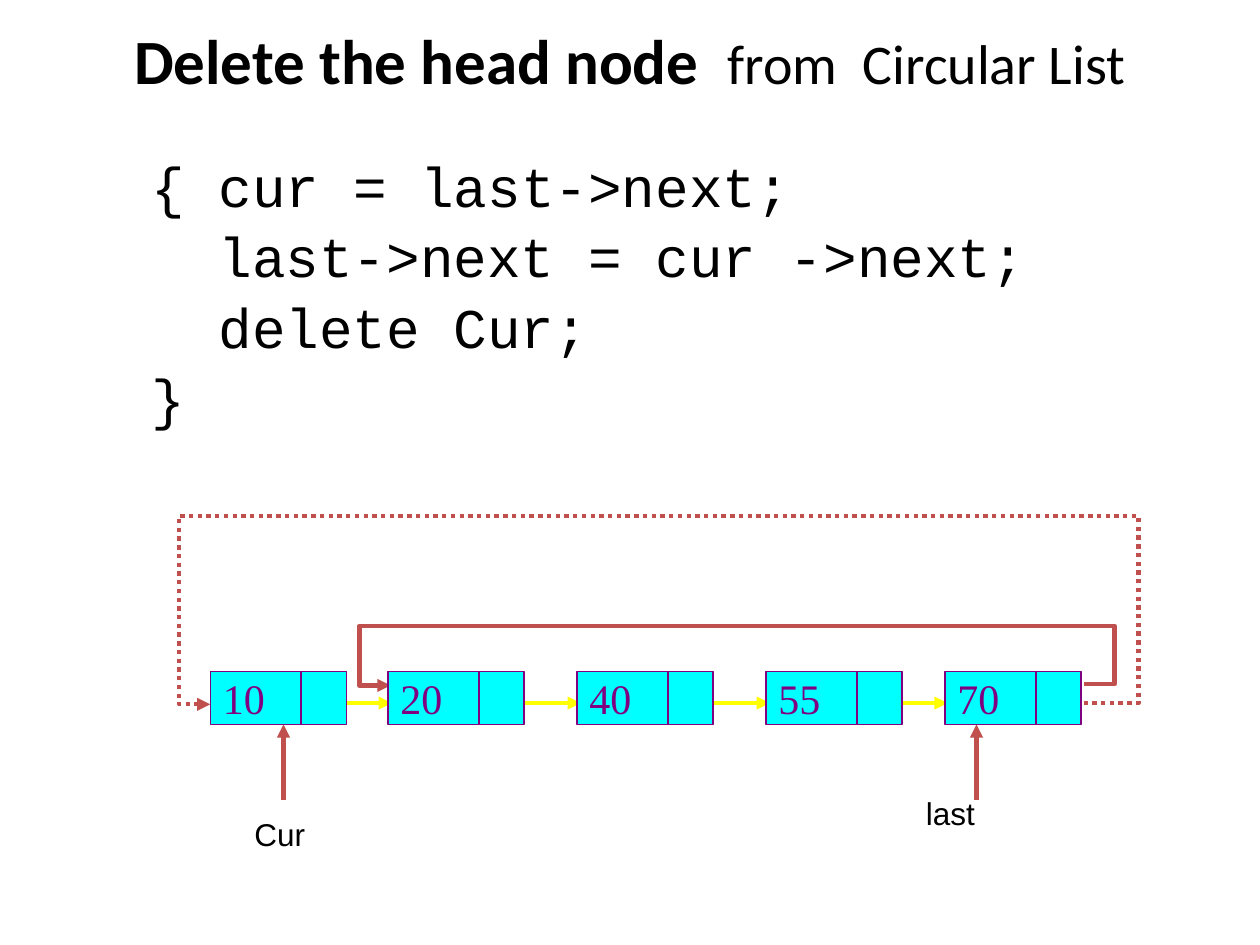
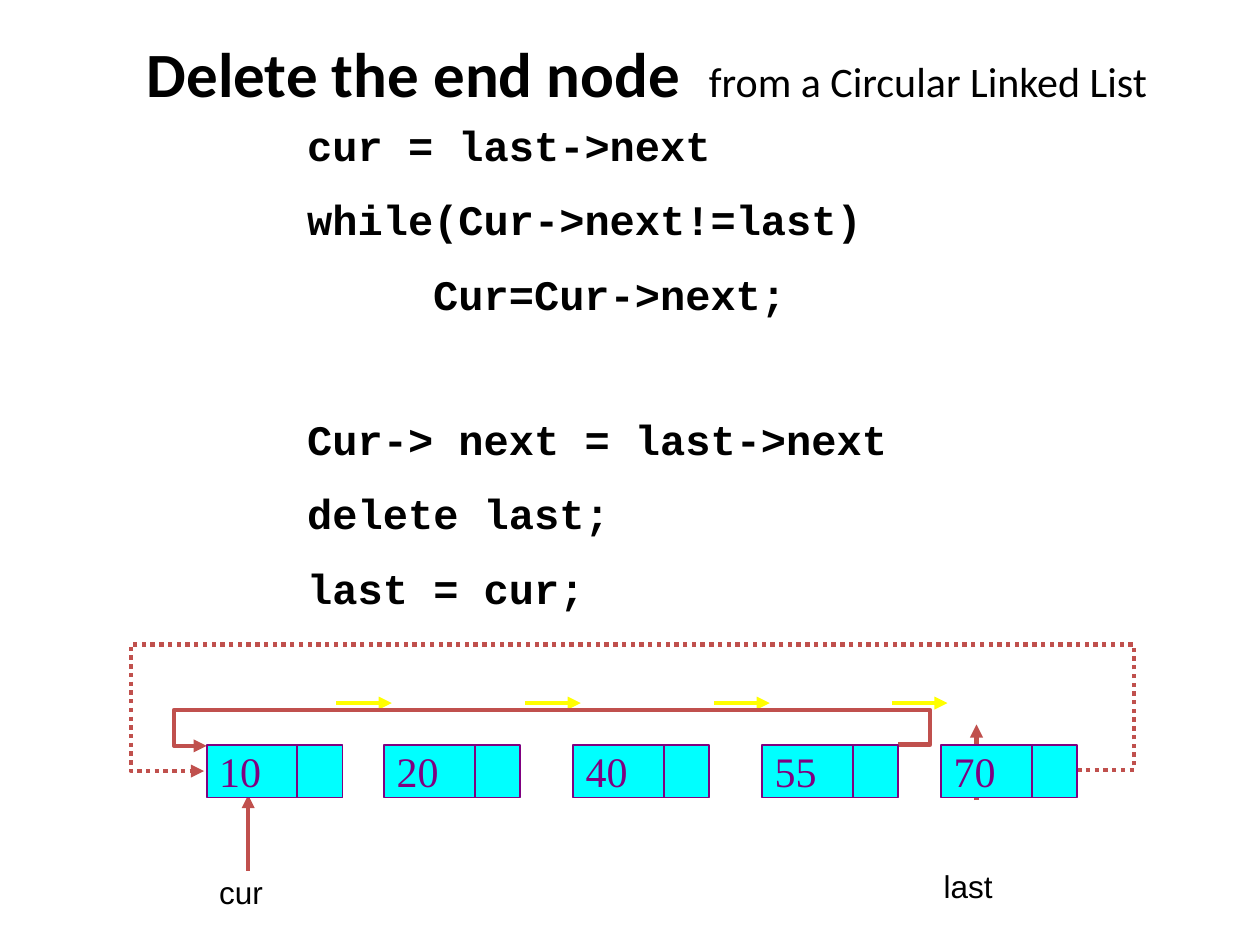
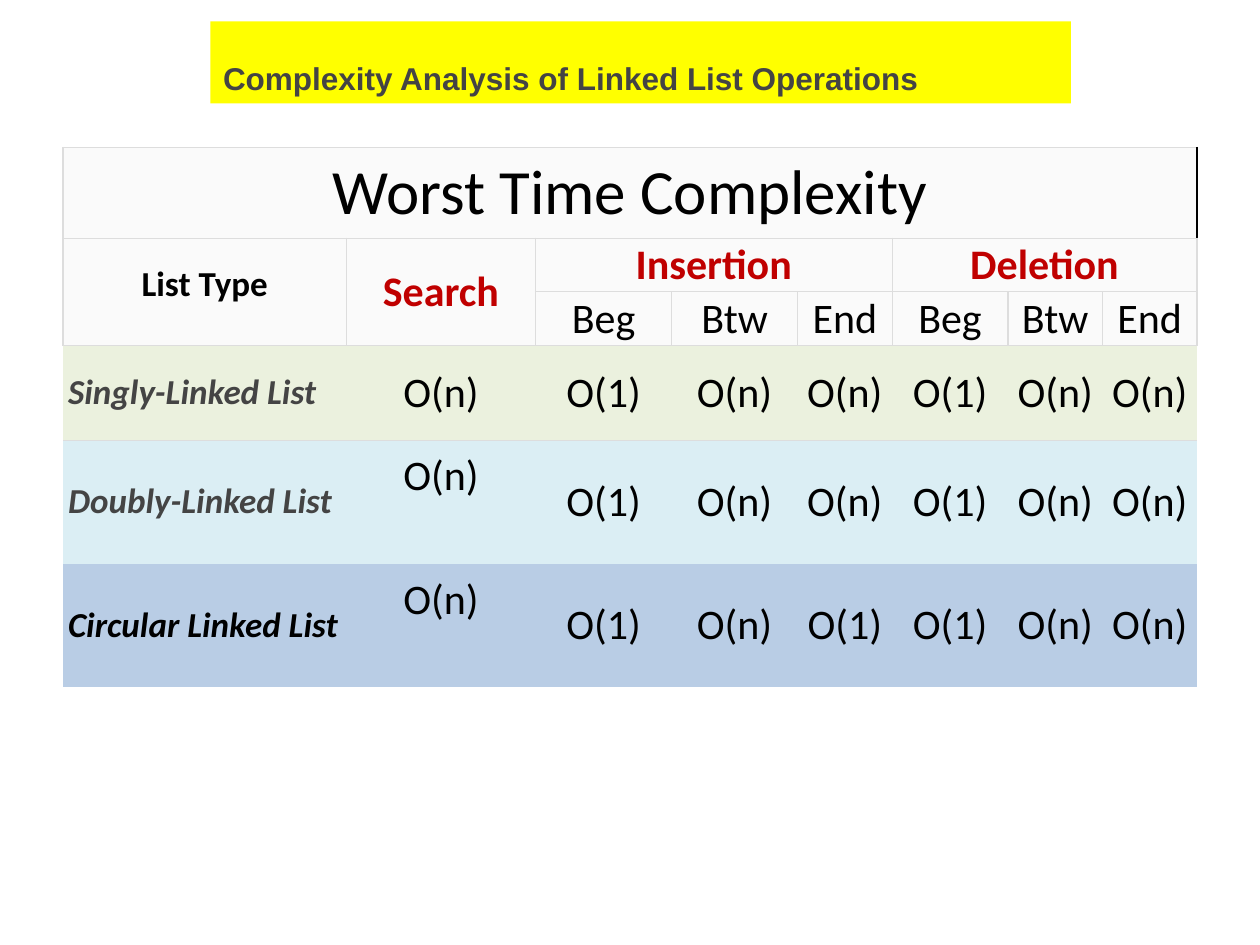
from lxml.etree import SubElement
from pptx import Presentation
from pptx.dml.color import RGBColor
from pptx.enum.dml import MSO_LINE
from pptx.enum.shapes import MSO_CONNECTOR, MSO_SHAPE
from pptx.enum.text import MSO_ANCHOR, MSO_AUTO_SIZE, PP_ALIGN
from pptx.oxml.ns import qn
from pptx.util import Inches, Pt

COLORS = {
    "black": "000000", "gray": "444444", "red": "C00000", "yellow": "FFFF00",
    "pointer": "C0504D", "node": "00FFFF", "purple": "800080",
    "header": "FAFAFA", "border": "DDDDDD",
    "singly": "EBF1DE", "doubly": "DBEEF4", "circular": "B9CDE5",
}
NODE_VALUES = ["10", "20", "40", "55", "70"]
NODE_LEFTS = [1.67, 3.08, 4.58, 6.08, 7.5]
NEXT_ARROW_LEFTS = [2.67, 4.17, 5.67, 7.08]
NO_TABLE_STYLE = "{2D5ABB26-0587-4C30-8999-92F81FD0307C}"


def color(name):
    return RGBColor.from_string(COLORS[name])


def add_span(para, text, size=18, font="Calibri", ink="black", bold=False, italic=False,
             align=PP_ALIGN.LEFT, before=0, indent=0):
    para.alignment = align
    para.space_before = Pt(before)
    if indent:
        properties = para._p.get_or_add_pPr()
        properties.set("marL", str(Inches(indent)))
        properties.set("indent", "0")
    span = para.add_run()
    span.text = text
    span.font.size = Pt(size)
    span.font.name = font
    span.font.bold = bold
    span.font.italic = italic
    span.font.color.rgb = color(ink)


def place_title(page, left, top, width, height, anchor=MSO_ANCHOR.TOP):
    title = page.shapes.title
    title.left, title.top = Inches(left), Inches(top)
    title.width, title.height = Inches(width), Inches(height)
    frame = title.text_frame
    frame.auto_size = MSO_AUTO_SIZE.NONE
    frame.word_wrap = True
    frame.vertical_anchor = anchor
    return title


def add_operation_title(page, left, top, width, operation, rest, rest_size):
    title = place_title(page, left, top, width, 0.72)
    para = title.text_frame.paragraphs[0]
    add_span(para, operation + "  ", size=36, bold=True, align=PP_ALIGN.CENTER)
    add_span(para, rest, size=rest_size, align=PP_ALIGN.CENTER)


def add_text_box(page, left, top, width, height):
    box = page.shapes.add_textbox(Inches(left), Inches(top), Inches(width), Inches(height))
    box.text_frame.word_wrap = True
    return box.text_frame


def add_label(page, left, top, text, width=0.65):
    frame = add_text_box(page, left, top, width, 0.4)
    add_span(frame.paragraphs[0], text, font="Arial")


def add_code(page, left, top, width, height, lines, size, bold=False):
    frame = add_text_box(page, left, top, width, height)
    for number, (text, columns, before) in enumerate(lines):
        para = frame.add_paragraph() if number else frame.paragraphs[0]
        add_span(para, text, size=size, font="Courier New", bold=bold,
                 before=before, indent=columns * size * 0.6 / 72)


def add_arrow(page, start, end, ink, kind=MSO_CONNECTOR.STRAIGHT):
    arrow = page.shapes.add_connector(kind, *map(Inches, start + end))
    arrow.line.color.rgb = color(ink)
    arrow.line.width = Pt(2.5)
    line = arrow.line._get_or_add_ln()
    SubElement(line, qn("a:tailEnd"), type="triangle")
    SubElement(arrow._element.spPr, qn("a:effectLst"))
    return arrow


def add_return_link(page, start, end, right, top, left, dotted=False):
    link = add_arrow(page, start, end, "pointer", MSO_CONNECTOR.ELBOW)
    if dotted:
        link.line.dash_style = MSO_LINE.ROUND_DOT
    width, height = start[0] - end[0], end[1] - start[1]
    bends = [(start[0] - right) / width, (top - start[1]) / height, (start[0] - left) / width]
    geometry = link._element.spPr.find(qn("a:prstGeom"))
    geometry.set("prst", "bentConnector5")
    guides = geometry.find(qn("a:avLst"))
    if guides is None:
        guides = SubElement(geometry, qn("a:avLst"))
    for number, bend in enumerate(bends, 1):
        SubElement(guides, qn("a:gd"), name=f"adj{number}", fmla=f"val {round(bend * 100000)}")


def add_next_arrows(page):
    for left in NEXT_ARROW_LEFTS:
        add_arrow(page, (left, 5.58), (left + 0.44, 5.58), "yellow")


def add_cell(page, left, top, width):
    cell = page.shapes.add_shape(MSO_SHAPE.RECTANGLE, Inches(left), Inches(top),
                                 Inches(width), Inches(0.42))
    cell.shadow.inherit = False
    cell.fill.solid()
    cell.fill.fore_color.rgb = color("node")
    cell.line.color.rgb = color("purple")
    cell.line.width = Pt(1)
    return cell


def add_nodes(page, top, shift=0):
    for value, left in zip(NODE_VALUES, NODE_LEFTS):
        data = add_cell(page, left + shift, top, 0.72)
        data.text_frame.vertical_anchor = MSO_ANCHOR.MIDDLE
        add_span(data.text_frame.paragraphs[0], value, size=24,
                 font="Times New Roman", ink="purple")
        add_cell(page, left + shift + 0.72, top, 0.36)


def set_border(cell, **sides):
    properties = cell._tc.get_or_add_tcPr()
    for side in "LRTB":
        if side in sides:
            line = SubElement(properties, qn(f"a:ln{side}"), w=str(Pt(0.75)))
            fill = SubElement(line, qn("a:solidFill"))
            SubElement(fill, qn("a:srgbClr"), val=COLORS[sides[side]])


def format_cell(cell, fill, side_margin, end_margin, raise_by=0):
    cell.fill.solid()
    cell.fill.fore_color.rgb = color(fill)
    cell.vertical_anchor = MSO_ANCHOR.MIDDLE
    cell.margin_left = cell.margin_right = Inches(side_margin)
    cell.margin_top = Inches(end_margin)
    cell.margin_bottom = Inches(end_margin + raise_by)


def fill_header(table):
    for row in range(3):
        for column in range(8):
            cell = table.cell(row, column)
            sides = dict.fromkeys("LRTB", "border")
            if row == 0:
                sides["R"] = "black"
            set_border(cell, **sides)
            format_cell(cell, "header", 0.01, 0.01)
    for first, last in [((0, 0), (0, 7)), ((1, 0), (2, 0)), ((1, 1), (2, 1)),
                        ((1, 2), (1, 4)), ((1, 5), (1, 7))]:
        table.cell(*first).merge(table.cell(*last))
    heading = {"size": 24, "ink": "red", "bold": True}
    headings = [
        (0, 0, "Worst Time Complexity", {"size": 36}),
        (1, 0, "List Type", {"size": 20, "bold": True}),
        (1, 1, "Search", heading), (1, 2, "Insertion", heading), (1, 5, "Deletion", heading),
    ]
    headings += [(2, column, text, {"size": 24})
                 for column, text in enumerate(["Beg", "Btw", "End"] * 2, 2)]
    for row, column, text, style in headings:
        add_span(table.cell(row, column).text_frame.paragraphs[0], text,
                 align=PP_ALIGN.CENTER, **style)
    table.cell(1, 0).margin_bottom = Inches(0.12)


def fill_costs(table):
    rows = [
        ("Singly-Linked List", "singly", "gray", 0, "n1nn1nn"),
        ("Doubly-Linked List", "doubly", "gray", 0.4, "n1nn1nn"),
        ("Circular Linked List", "circular", "black", 0.4, "n1n11nn"),
    ]
    for row, (name, fill, ink, search_raise, costs) in enumerate(rows, 3):
        for column, text in enumerate([name] + [f"O({cost})" for cost in costs]):
            cell = table.cell(row, column)
            if row == 3:
                set_border(cell, T="border")
            format_cell(cell, fill, 0.04, 0.02, search_raise if column == 1 else 0)
            para = cell.text_frame.paragraphs[0]
            if column == 0:
                add_span(para, text, size=20, ink=ink, bold=True, italic=True)
            else:
                add_span(para, text, size=24, align=PP_ALIGN.CENTER)


def add_complexity_table(page):
    widths = [2.25, 1.5, 1.08, 1, 0.75, 0.92, 0.75, 0.75]
    heights = [0.72, 0.41, 0.41, 0.75, 0.98, 0.98]
    table = page.shapes.add_table(len(heights), len(widths), Inches(0.5), Inches(1.17),
                                  Inches(9), Inches(sum(heights))).table
    table.first_row = table.horz_banding = False
    table._tbl.tblPr.find(qn("a:tableStyleId")).text = NO_TABLE_STYLE
    for column, width in zip(table.columns, widths):
        column.width = Inches(width)
    for row, height in zip(table.rows, heights):
        row.height = Inches(height)
    fill_header(table)
    fill_costs(table)


def build_head_deletion(page):
    add_operation_title(page, 0.5, 0.12, 9, "Delete the head node", "from  Circular List", 32)
    add_next_arrows(page)
    add_label(page, 7.25, 6.25, "last")
    add_arrow(page, (7.75, 6.35), (7.75, 5.75), "pointer")
    add_return_link(page, (8.6, 5.58), (1.67, 5.59), 9.04, 4.07, 1.42, dotted=True)
    add_label(page, 1.92, 6.42, "Cur")
    add_arrow(page, (2.25, 6.35), (2.25, 5.75), "pointer")
    add_return_link(page, (8.6, 5.43), (3.1, 5.44), 8.85, 4.96, 2.85)
    add_nodes(page, 5.33)
    lines = [("{ cur = last->next;", 2, 0), ("last->next = cur ->next;", 4, 2),
             ("delete Cur;", 4, 2), ("}", 2, 2)]
    add_code(page, 0.57, 1.15, 8.34, 2.26, lines, 32)


def build_end_deletion(page):
    add_operation_title(page, 0.55, 0.22, 9.17, "Delete the end node",
                        "from a Circular Linked List", 24)
    add_next_arrows(page)
    add_arrow(page, (7.75, 6.35), (7.75, 5.75), "pointer")
    lines = [("cur = last->next", 0, 0), ("while(Cur->next!=last)", 0, 13.6),
             ("Cur=Cur->next;", 5, 13.6), ("Cur-> next = last->next", 0, 54.4),
             ("delete last;", 0, 13.6), ("last = cur;", 0, 13.6)]
    add_code(page, 2.34, 0.9, 5.57, 4.75, lines, 24, bold=True)
    add_return_link(page, (8.55, 6.11), (1.62, 6.12), 9, 5.1, 1.04, dotted=True)
    add_return_link(page, (7.13, 5.91), (1.64, 5.92), 7.38, 5.63, 1.38)
    add_label(page, 1.64, 6.88, "cur", width=1.25)
    add_arrow(page, (1.97, 6.91), (1.97, 6.31), "pointer")
    add_label(page, 7.39, 6.83, "last", width=1.25)
    add_nodes(page, 5.91, shift=-0.03)


def build_complexity(page):
    title = place_title(page, 1.67, 0.17, 6.83, 0.65, MSO_ANCHOR.MIDDLE)
    title.fill.solid()
    title.fill.fore_color.rgb = color("yellow")
    title.text_frame.margin_top = Inches(0.29)
    add_span(title.text_frame.paragraphs[0], "Complexity Analysis of Linked List Operations",
             font="Arial", ink="gray", bold=True)
    add_complexity_table(page)


def main():
    deck = Presentation()
    deck.slide_width, deck.slide_height = Inches(10), Inches(7.5)
    for build in (build_head_deletion, build_end_deletion, build_complexity):
        build(deck.slides.add_slide(deck.slide_layouts[5]))
    deck.save("out.pptx")


if __name__ == "__main__":
    main()
